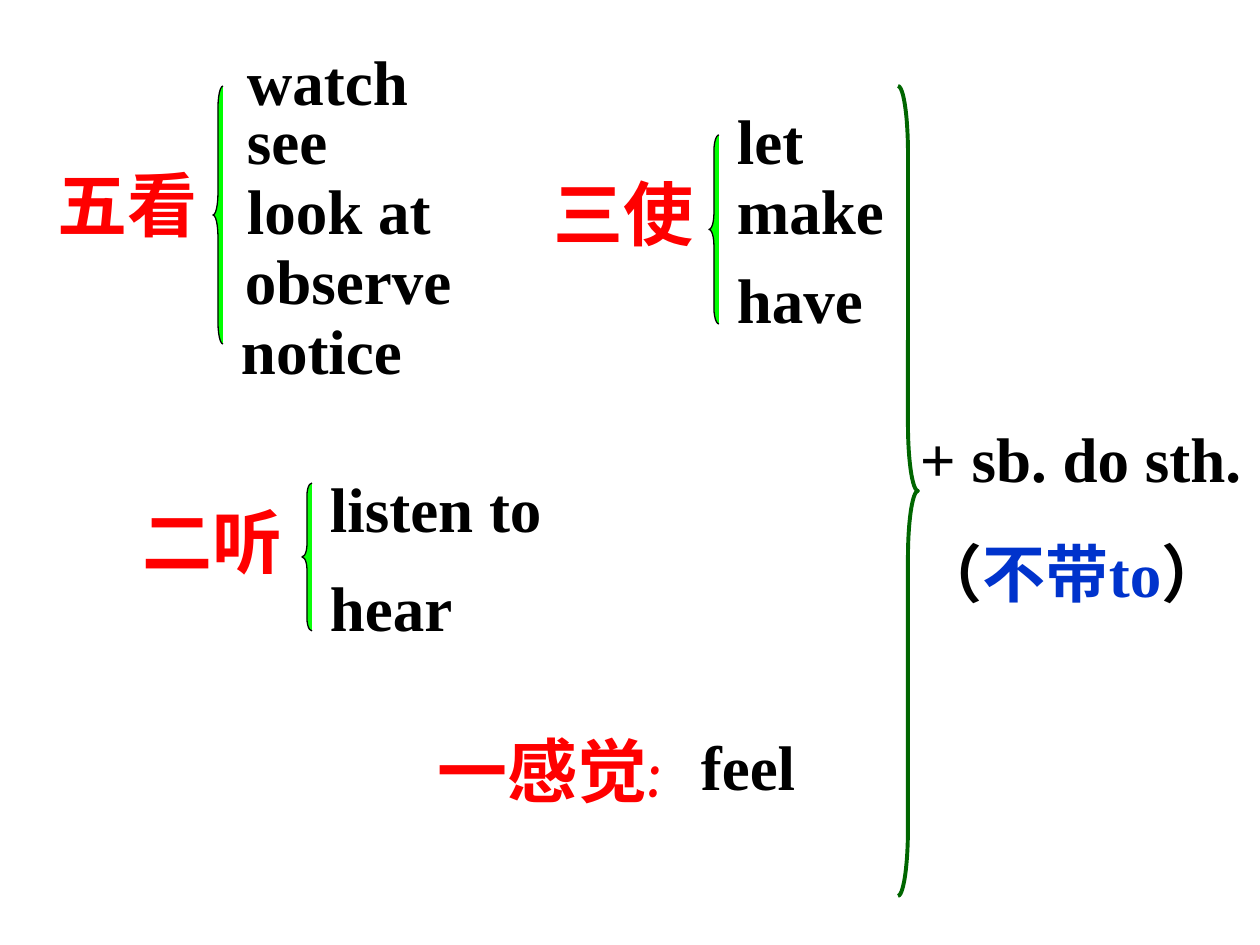
from dataclasses import dataclass

from lxml.etree import SubElement
from pptx import Presentation
from pptx.dml.color import RGBColor
from pptx.enum.shapes import MSO_SHAPE
from pptx.enum.text import MSO_AUTO_SIZE
from pptx.oxml.ns import qn
from pptx.util import Pt

PX = 914400 // 126  # EMU in one px


@dataclass(frozen=True)
class Theme:
    ink: str = "000000"
    label: str = "FF0000"
    accent: str = "0033CC"
    brace_fill: str = "00FF00"
    result_brace: str = "006600"
    latin_font: str = "Times New Roman"
    label_font: str = "Comic Neue"
    word_size: int = 36
    label_size: int = 40
    result_gap: float = 22.5


THEME = Theme()
INSET = 13             # usual side inset of a text box
WORD_INSETS = (28, 0)  # verbs stand further in and may use the full right side
LABEL_INSET = 20

# Content: (text, left, top, width)
WORD_HEIGHT = 88
WORDS = [
    ("watch", 219, 36, 306),
    ("see", 219, 95, 170),
    ("look at", 219, 165, 338),
    ("observe", 217, 235, 339),
    ("notice", 213, 305, 284),
    ("let", 709, 95, 107),
    ("make", 709, 165, 188),
    ("have", 709, 254, 166),
    ("listen to", 302, 463, 268),
    ("hear", 302, 562, 163),
    ("feel", 673, 721, 135),
]

# Content: (text, left, top, width, left inset)
LABEL_HEIGHT = 97
LABELS = [
    ("五看", 45, 155, 218, INSET),
    ("三使", 541, 164, 166, INSET),
    ("二听", 123, 492, 200, LABEL_INSET),
    ("一感觉:", 425, 721, 291, INSET),
]

# Group braces: (left, top, width, height, opacity in percent)
GROUP_BRACES = [
    (213, 86, 10, 258, 100),
    (709, 135, 10, 189, 100),
    (302, 483, 10, 148, 96),
]
RESULT_BRACE = (898, 86, 20, 810)

# Result: one list of (text, colour) runs per paragraph
RESULT_BOX = (907, 413, 353, 280)
RESULT = [
    [("+ sb. do sth.", THEME.ink)],
    [("（", THEME.ink), ("不带to", THEME.accent), ("）", THEME.ink)],
]


def scaled(*lengths):
    return [length * PX for length in lengths]


def add_text(slide, box, paragraphs, font_name, size, insets=(INSET, INSET)):
    frame = slide.shapes.add_textbox(*scaled(*box)).text_frame
    frame.word_wrap = True
    frame.auto_size = MSO_AUTO_SIZE.SHAPE_TO_FIT_TEXT
    frame.margin_left, frame.margin_right = scaled(*insets)
    for index, runs in enumerate(paragraphs):
        paragraph = frame.add_paragraph() if index else frame.paragraphs[0]
        if index:
            paragraph.space_before = Pt(THEME.result_gap)
        for text, colour in runs:
            run = paragraph.add_run()
            run.text = text
            run.font.name = font_name
            run.font.size = Pt(size)
            run.font.bold = True
            run.font.color.rgb = RGBColor.from_string(colour)


def add_brace(slide, kind, box, line_colour, line_width):
    width, height = box[2:]
    shape = slide.shapes.add_shape(kind, *scaled(*box))
    shape.shadow.inherit = False
    shape.adjustments[0] = height / 12 / width  # each curve is a twelfth of the height
    shape.fill.background()
    shape.line.color.rgb = RGBColor.from_string(line_colour)
    shape.line.width = Pt(line_width)
    return shape


def fill_brace(shape, colour, opacity):
    shape.fill.solid()
    shape.fill.fore_color.rgb = RGBColor.from_string(colour)
    if opacity < 100:
        fill = shape.element.spPr.find(qn("a:solidFill"))
        SubElement(fill[0], qn("a:alpha"), val=str(opacity * 1000))


def main():
    presentation = Presentation()
    presentation.slide_width, presentation.slide_height = scaled(1260, 945)
    slide = presentation.slides.add_slide(presentation.slide_layouts[6])

    # Braces
    for *box, opacity in GROUP_BRACES:
        brace = add_brace(slide, MSO_SHAPE.LEFT_BRACE, box, THEME.ink, 0.75)
        fill_brace(brace, THEME.brace_fill, opacity)
    add_brace(slide, MSO_SHAPE.RIGHT_BRACE, RESULT_BRACE, THEME.result_brace, 2.25)

    # Group labels
    for text, left, top, width, inset in LABELS:
        add_text(slide, (left, top, width, LABEL_HEIGHT), [[(text, THEME.label)]],
                 THEME.label_font, THEME.label_size, (inset, 0))

    # Verbs
    for text, left, top, width in WORDS:
        add_text(slide, (left, top, width, WORD_HEIGHT), [[(text, THEME.ink)]],
                 THEME.latin_font, THEME.word_size, WORD_INSETS)

    # Resulting pattern
    add_text(slide, RESULT_BOX, RESULT, THEME.latin_font, THEME.word_size)

    presentation.save("out.pptx")


if __name__ == "__main__":
    main()
